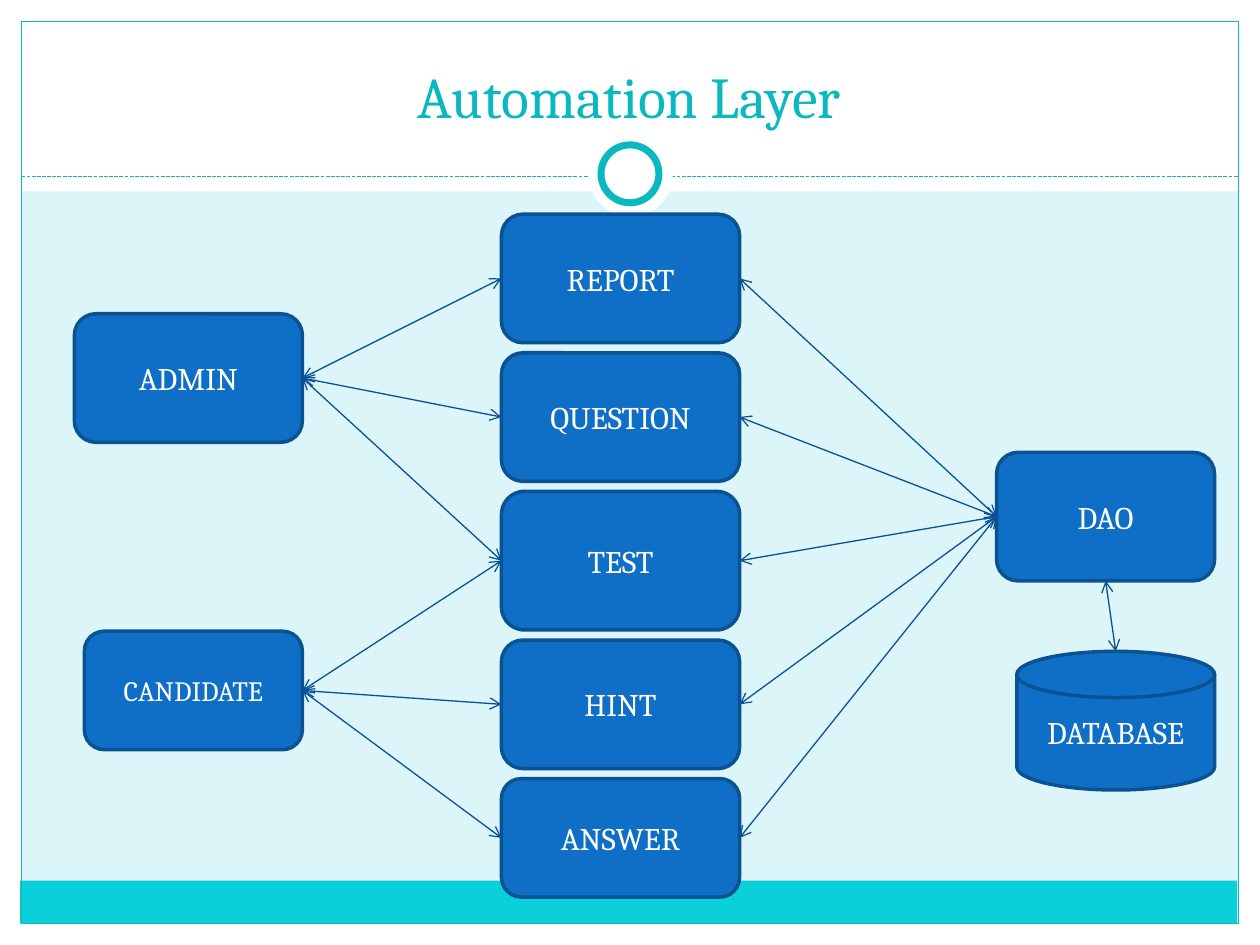
from dataclasses import dataclass
from typing import Optional

import pptx
import pptx.dml.color
import pptx.enum.dml
import pptx.enum.shapes
import pptx.enum.text
import pptx.oxml
import pptx.oxml.ns
import pptx.util
from pptx.util import Inches

RGBColor = pptx.dml.color.RGBColor
Shape = pptx.enum.shapes.MSO_SHAPE
Align = pptx.enum.text.PP_ALIGN
Anchor = pptx.enum.text.MSO_ANCHOR

WHITE = RGBColor(0xFF, 0xFF, 0xFF)
PALE = RGBColor(0xDB, 0xF5, 0xF9)
CYAN = RGBColor(0x0B, 0xD0, 0xD9)
TEAL = RGBColor(0x0A, 0xB8, 0xBF)
BLUE = RGBColor(0x0F, 0x6F, 0xC6)
BLUE_EDGE = RGBColor(0x0B, 0x52, 0x92)
ARROW = RGBColor(0x09, 0x52, 0x95)

WIDTH, HEIGHT, MARGIN = 10, 7.5, 0.17
TOP, LEFT, BOTTOM, RIGHT = range(4)  # connection sites of a box


@dataclass
class Panel:
    left: float
    top: float
    width: float
    height: float
    fill: Optional[RGBColor] = None
    edge: Optional[RGBColor] = None
    weight: float = 0.75
    kind: Shape = Shape.RECTANGLE


@dataclass
class Node:
    label: str
    left: float
    top: float
    width: float
    height: float
    size: int = 18
    kind: Shape = Shape.FLOWCHART_ALTERNATE_PROCESS


FRAME = [
    Panel(0, HEIGHT - MARGIN, WIDTH, MARGIN, WHITE),
    Panel(0, 0, WIDTH, 1.52, WHITE),
    Panel(0, 0, MARGIN, HEIGHT, WHITE),
    Panel(WIDTH - MARGIN, 0, MARGIN, HEIGHT, WHITE),
    Panel(0.16, 6.99, 9.66, 0.34, CYAN),
    Panel(MARGIN, MARGIN, WIDTH - 2 * MARGIN, HEIGHT - 2 * MARGIN, edge=TEAL),
]
RING = [
    Panel(4.67, 1.05, 0.67, 0.67, WHITE, kind=Shape.OVAL),
    Panel(4.77, 1.15, 0.46, 0.46, WHITE, TEAL, 4, Shape.OVAL),
]

NODES = [
    Node("ADMIN", 0.59, 2.49, 1.81, 1.02),
    Node("DATABASE", 8.07, 5.17, 1.57, 1.1, kind=Shape.FLOWCHART_MAGNETIC_DISK),
    Node("CANDIDATE", 0.67, 5.01, 1.73, 0.94, size=16),
    Node("DAO", 7.91, 3.59, 1.73, 1.02),
]
# Middle column: boxes stacked with an equal gap
ENTITY_HEIGHTS = {"REPORT": 1.02, "QUESTION": 1.02, "TEST": 1.1,
                  "HINT": 1.02, "ANSWER": 0.94}
ENTITY_TOP, ENTITY_GAP = 1.7, 0.08

USES = {
    "ADMIN": ["REPORT", "QUESTION", "TEST"],
    "CANDIDATE": ["TEST", "HINT", "ANSWER"],
}


def apply(target, values: dict) -> None:
    for name, value in values.items():
        setattr(target, name, value)


def add_panel(slide, panel: Panel):
    shape = slide.shapes.add_shape(
        panel.kind, Inches(panel.left), Inches(panel.top),
        Inches(panel.width), Inches(panel.height))
    shape.shadow.inherit = False
    if panel.fill is None:
        shape.fill.background()
    else:
        shape.fill.solid()
        shape.fill.fore_color.rgb = panel.fill
    if panel.edge is None:
        shape.line.fill.background()
    else:
        shape.line.color.rgb = panel.edge
        shape.line.width = pptx.util.Pt(panel.weight)
    return shape


def write(shape, text: str, size: int, color: RGBColor, anchor: Anchor) -> None:
    frame = shape.text_frame
    apply(frame, {"text": text, "word_wrap": True, "vertical_anchor": anchor})
    paragraph = frame.paragraphs[0]
    paragraph.alignment = Align.CENTER
    font = paragraph.runs[0].font
    apply(font, {"name": "Cambria", "size": pptx.util.Pt(size)})
    font.color.rgb = color


def add_node(slide, node: Node):
    shape = add_panel(slide, Panel(node.left, node.top, node.width, node.height,
                                   BLUE, BLUE_EDGE, 2, node.kind))
    write(shape, node.label, node.size, WHITE, Anchor.MIDDLE)
    return shape


def add_line(slide, start: tuple, end: tuple, color: RGBColor):
    line = slide.shapes.add_connector(
        pptx.enum.shapes.MSO_CONNECTOR.STRAIGHT, *start, *end)
    line.line.color.rgb = color
    line.line.width = pptx.util.Pt(0.75)
    line.element.spPr.append(pptx.oxml.parse_xml(
        f"<a:effectLst {pptx.oxml.ns.nsdecls('a')}/>"))
    return line


def add_arrow(slide, start: tuple, end: tuple):
    arrow = add_line(slide, start, end, ARROW)
    for tag in ("headEnd", "tailEnd"):
        arrow.element.spPr.get_or_add_ln().append(pptx.oxml.parse_xml(
            f'<a:{tag} {pptx.oxml.ns.nsdecls("a")} type="arrow"/>'))
    return arrow


def link(slide, source, target) -> None:
    """Join the right side of source to the left side of target."""
    arrow = add_arrow(slide, (0, 0), (0, 0))
    arrow.begin_connect(source, RIGHT)
    arrow.end_connect(target, LEFT)


def main() -> None:
    deck = pptx.Presentation()
    apply(deck, {"slide_width": Inches(WIDTH), "slide_height": Inches(HEIGHT)})
    slide = deck.slides.add_slide(deck.slide_layouts[5])
    slide.background.fill.solid()
    slide.background.fill.fore_color.rgb = PALE

    # Frame, divider and ring
    for panel in FRAME:
        add_panel(slide, panel)
    divider = add_line(slide, (Inches(MARGIN), Inches(1.4)),
                       (Inches(WIDTH - MARGIN), Inches(1.4)), TEAL)
    divider.line.dash_style = pptx.enum.dml.MSO_LINE.SQUARE_DOT
    for panel in RING:
        add_panel(slide, panel)

    # Title, raised above the white band
    title = slide.shapes.title
    apply(title, {"left": Inches(0.33), "top": Inches(0.25),
                  "width": Inches(9.33), "height": Inches(0.83)})
    write(title, "Automation Layer", 33, TEAL, Anchor.BOTTOM)
    title.text_frame.auto_size = pptx.enum.text.MSO_AUTO_SIZE.NONE
    slide.shapes.element.append(title.element)

    # Boxes
    nodes = list(NODES)
    top = ENTITY_TOP
    for label, height in ENTITY_HEIGHTS.items():
        nodes.append(Node(label, 3.98, top, 1.89, height))
        top += height + ENTITY_GAP
    boxes = {node.label: add_node(slide, node) for node in nodes}

    # Arrows
    for user, entities in USES.items():
        for entity in entities:
            link(slide, boxes[user], boxes[entity])
    for entity in ENTITY_HEIGHTS:
        link(slide, boxes[entity], boxes["DAO"])
    database = boxes["DATABASE"]
    disk_top = (database.left + database.width // 2, database.top)
    add_arrow(slide, disk_top, disk_top).begin_connect(boxes["DAO"], BOTTOM)

    deck.save("out.pptx")


if __name__ == "__main__":
    main()
